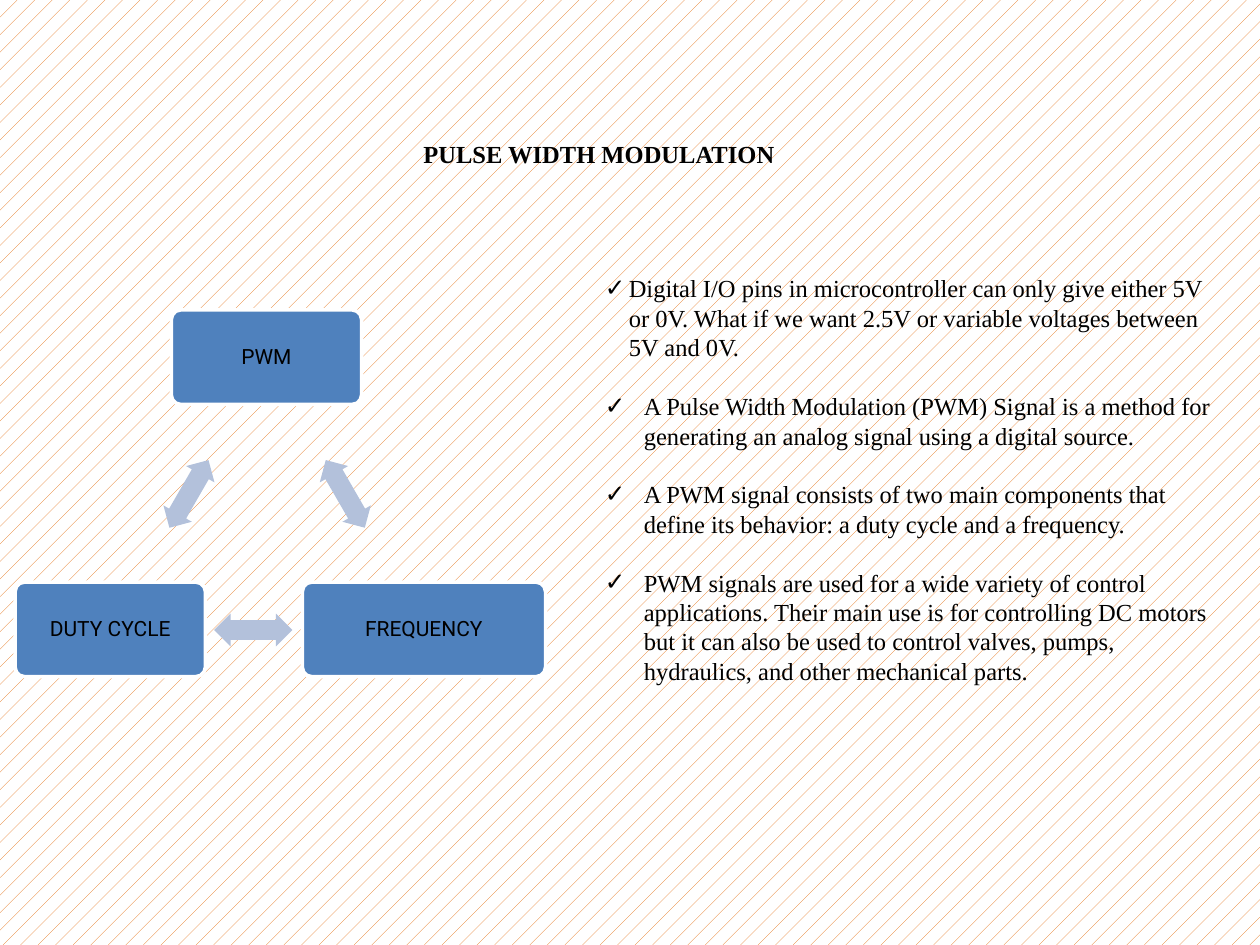
from lxml.etree import SubElement
from pptx import Presentation
from pptx.dml.color import RGBColor
from pptx.enum.dml import MSO_PATTERN
from pptx.enum.shapes import MSO_SHAPE
from pptx.enum.text import MSO_ANCHOR, MSO_AUTO_SIZE, PP_ALIGN
from pptx.oxml.ns import qn
from pptx.util import Inches, Pt

COLORS = {
    "text": "000000",
    "box": "4F81BD",
    "outline": "FFFFFF",
    "arrow": "B3C1DB",
    "hatch": "E46C0A",
    "paper": "FFFFFF",
}
SERIF = "Times New Roman"
BOXES = [
    ("PWM", 1.36, 2.46, 1.51),
    ("FREQUENCY", 2.4, 4.62, 1.93),
    ("DUTY CYCLE", 0.12, 4.62, 1.51),
]
ARROWS = [(2.43, 3.79, 60), (1.7, 4.87, 180), (1.19, 3.79, 300)]
POINTS = [
    ("Digital I/O pins in microcontroller can only give either 5V or 0V. "
     "What if we want 2.5V or variable voltages between 5V and 0V.", 0.19),
    ("A Pulse Width Modulation (PWM) Signal is a method for generating "
     "an analog signal using a digital source.", 0.31),
    ("A PWM signal consists of two main components that define its "
     "behavior: a duty cycle and a frequency.", 0.31),
    ("PWM signals are used for a wide variety of control applications. "
     "Their main use is for controlling DC motors but it can also be used "
     "to control valves, pumps, hydraulics, and other mechanical parts.", 0.31),
]


def color(name):
    return RGBColor.from_string(COLORS[name])


def place(shape, left, top, width, height):
    shape.left, shape.top = Inches(left), Inches(top)
    shape.width, shape.height = Inches(width), Inches(height)


def add_run(paragraph, text, font_name, size, bold=False):
    run = paragraph.add_run()
    run.text = text
    run.font.name = font_name
    run.font.size = Pt(size)
    run.font.bold = bold
    run.font.color.rgb = color("text")


def set_background(slide):
    fill = slide.background.fill
    fill.patterned()
    fill.pattern = MSO_PATTERN.PERCENT_5
    fill.fore_color.rgb = color("hatch")
    fill.back_color.rgb = color("paper")


def set_title(title, text):
    place(title, 3.26, 1.05, 3.46, 0.34)
    frame = title.text_frame
    frame.auto_size = MSO_AUTO_SIZE.NONE
    frame.vertical_anchor = MSO_ANCHOR.TOP
    paragraph = frame.paragraphs[0]
    paragraph.alignment = PP_ALIGN.LEFT
    add_run(paragraph, text, SERIF, 14, bold=True)


def set_check_bullet(paragraph, indent):
    properties = paragraph._p.get_or_add_pPr()
    properties.set("marL", str(Inches(indent)))
    properties.set("indent", str(-Inches(indent)))
    SubElement(properties, qn("a:buChar"), char="✓")


def set_points(body):
    place(body, 4.7, 2.12, 5.16, 3.87)
    frame = body.text_frame
    frame.auto_size = MSO_AUTO_SIZE.NONE
    for index, (text, indent) in enumerate(POINTS):
        paragraph = frame.add_paragraph() if index else frame.paragraphs[0]
        set_check_bullet(paragraph, indent)
        paragraph.line_spacing = Pt(16.8)
        paragraph.space_before = Pt(16.8 if index else 0)
        add_run(paragraph, text, SERIF, 14)


def add_box(slide, text, left, top, width):
    box = slide.shapes.add_shape(
        MSO_SHAPE.ROUNDED_RECTANGLE,
        Inches(left), Inches(top), Inches(width), Inches(0.75))
    box.adjustments[0] = 0.1
    box.shadow.inherit = False
    box.fill.solid()
    box.fill.fore_color.rgb = color("box")
    box.line.color.rgb = color("outline")
    box.line.width = Pt(2)
    frame = box.text_frame
    frame.vertical_anchor = MSO_ANCHOR.MIDDLE
    paragraph = frame.paragraphs[0]
    paragraph.alignment = PP_ALIGN.CENTER
    paragraph.line_spacing = 0.9
    add_run(paragraph, text, "Roboto", 12)


def add_arrow(slide, left, top, rotation):
    arrow = slide.shapes.add_shape(
        MSO_SHAPE.LEFT_RIGHT_ARROW,
        Inches(left), Inches(top), Inches(0.62), Inches(0.26))
    arrow.adjustments[0] = 0.6
    arrow.adjustments[1] = 0.5
    arrow.rotation = rotation
    arrow.shadow.inherit = False
    arrow.fill.solid()
    arrow.fill.fore_color.rgb = color("arrow")
    arrow.line.fill.background()


def main():
    presentation = Presentation()
    presentation.slide_width = Inches(10)
    presentation.slide_height = Inches(7.5)
    slide = presentation.slides.add_slide(presentation.slide_layouts[1])
    set_background(slide)
    set_title(slide.shapes.title, "PULSE WIDTH MODULATION")
    set_points(slide.placeholders[1])
    for box in BOXES:
        add_box(slide, *box)
    for arrow in ARROWS:
        add_arrow(slide, *arrow)
    presentation.save("out.pptx")


if __name__ == "__main__":
    main()
